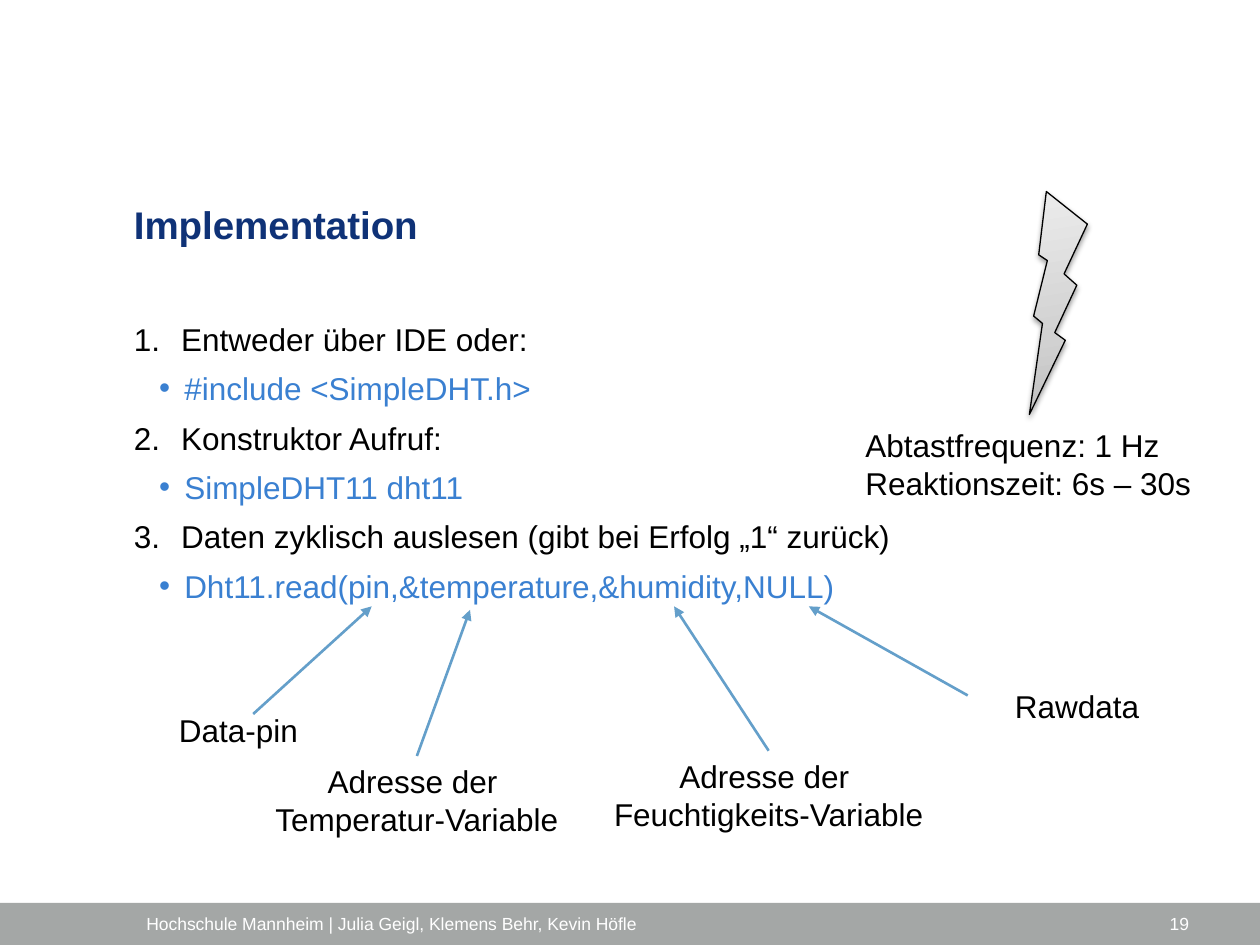
from dataclasses import dataclass

from lxml import etree
from pptx import Presentation
from pptx.dml.color import RGBColor
from pptx.enum.shapes import MSO_CONNECTOR, MSO_SHAPE
from pptx.enum.text import MSO_ANCHOR, MSO_AUTO_SIZE, PP_ALIGN
from pptx.oxml import parse_xml
from pptx.oxml.ns import qn
from pptx.util import Pt

LEFT, MID, RIGHT = PP_ALIGN.LEFT, PP_ALIGN.CENTER, PP_ALIGN.RIGHT
TOP, CENTRE = MSO_ANCHOR.TOP, MSO_ANCHOR.MIDDLE
FIXED = MSO_AUTO_SIZE.NONE
RECT, BOLT = MSO_SHAPE.RECTANGLE, MSO_SHAPE.LIGHTNING_BOLT
STRAIGHT = MSO_CONNECTOR.STRAIGHT
SPACE = 'xmlns:a="http://schemas.openxmlformats.org/drawingml/2006/main"'


@dataclass(frozen=True)
class Theme:
    font: str = "Arial"
    ink: str = "000000"
    navy: str = "0F3277"
    code: str = "3A80D1"
    arrow: str = "649FCA"
    bar: str = "A4A7A6"
    white: str = "FFFFFF"
    bolt: tuple = ((0, "BDBDBD"), (35, "D1D1D1"), (100, "EEEEEE"))
    head: int = 22
    text: int = 18
    small: int = 10


THEME = Theme()

STEPS = [
    ("Entweder über IDE oder:", "#include <SimpleDHT.h>"),
    ("Konstruktor Aufruf:", "SimpleDHT11 dht11"),
    ("Daten zyklisch auslesen (gibt bei Erfolg „1“ zurück)",
     "Dht11.read(pin,&temperature,&humidity,NULL)"),
]

LABELS = [
    ("Data-pin", (20, 402.5, 232.5, 29), (144.7, 408), (212.4, 346.5)),
    ("Adresse der \nTemperatur-Variable", (122, 432, 232.5, 51), None, (268.6, 348.5)),
    ("Adresse der \nFeuchtigkeits-Variable", (323, 429, 232.5, 51), None, (385.2, 346.5)),
    ("Rawdata", (567.5, 389, 96, 29), (553, 397.4), (462.2, 346.5)),
]


def color(code):
    return RGBColor.from_string(code)


def style(para, size, ink, bold=False):
    for run in para.runs:
        run.font.name = THEME.font
        run.font.size = Pt(size)
        run.font.bold = bold
        run.font.color.rgb = color(ink)


def place(shape, box):
    shape.left, shape.top, shape.width, shape.height = map(Pt, box)
    frame = shape.text_frame
    frame.auto_size = FIXED
    frame.vertical_anchor = TOP
    frame.margin_left = frame.margin_right = 0
    frame.margin_top = frame.margin_bottom = 0
    return frame


def add_title(slide, words, box):
    frame = place(slide.shapes.title, box)
    frame.text = words
    para = frame.paragraphs[0]
    para.alignment = LEFT
    para.line_spacing = 1.1
    style(para, THEME.head, THEME.navy, True)


def indent(para, left, hang, kind, **attrs):
    props = para._p.get_or_add_pPr()
    props.set("marL", str(Pt(left)))
    props.set("indent", str(-Pt(hang)))
    etree.SubElement(props, qn("a:" + kind), **attrs)


def add_steps(slide, box):
    frame = place(slide.placeholders[1], box)
    frame.text = "\n".join(line for step in STEPS for line in step)
    for i, para in enumerate(frame.paragraphs):
        para.level = i % 2
        para.line_spacing = 1.1
        para.space_before = Pt(0)
        para.space_after = Pt(4.5)
        if para.level:
            indent(para, 28.8, 14.4, "buChar", char="•")
            style(para, THEME.text, THEME.code)
        else:
            indent(para, 27, 27, "buAutoNum", type="arabicPeriod")
            style(para, THEME.text, THEME.ink)


def add_text(slide, words, box, size, ink, align=LEFT, anchor=TOP):
    shape = slide.shapes.add_textbox(*map(Pt, box))
    frame = shape.text_frame
    frame.word_wrap = True
    frame.vertical_anchor = anchor
    frame.text = words
    for para in frame.paragraphs:
        para.alignment = align
        style(para, size, ink)
    return shape


def add_arrow(slide, start, end, label):
    line = slide.shapes.add_connector(STRAIGHT, *map(Pt, start + end))
    if label is not None:
        line.begin_connect(label, 0)
    line.line.color.rgb = color(THEME.arrow)
    line.line.width = Pt(1.5)
    etree.SubElement(line.line._get_or_add_ln(), qn("a:tailEnd"), type="triangle")
    etree.SubElement(line._element.spPr, qn("a:effectLst"))


def add_label(slide, words, box, start, end):
    label = add_text(slide, words, box, THEME.text, THEME.ink, MID)
    left, top, width, _ = box
    joint = None if start else label
    add_arrow(slide, start or (left + width / 2, top), end, joint)


def add_bar(slide, box):
    bar = slide.shapes.add_shape(RECT, *map(Pt, box))
    bar.shadow.inherit = False
    bar.fill.solid()
    bar.fill.fore_color.rgb = color(THEME.bar)
    bar.line.fill.background()


def add_bolt(slide, box):
    bolt = slide.shapes.add_shape(BOLT, *map(Pt, box))
    bolt.rotation = 350.3
    bolt.line.color.rgb = color(THEME.ink)
    bolt.line.width = Pt(0.75)
    bolt.shadow.inherit = False
    props = bolt._element.spPr
    props.find(qn("a:xfrm")).set("flipH", "1")
    stops = "".join(
        f'<a:gs pos="{at * 1000}"><a:srgbClr val="{tint}"/></a:gs>'
        for at, tint in THEME.bolt)
    fill = parse_xml(
        f'<a:gradFill {SPACE} rotWithShape="1"><a:gsLst>{stops}</a:gsLst>'
        '<a:lin ang="16200000" scaled="0"/></a:gradFill>')
    props.find(qn("a:prstGeom")).addnext(fill)
    shade = parse_xml(
        f'<a:outerShdw {SPACE} blurRad="{Pt(3.1)}" dist="{Pt(1.6)}" '
        f'dir="5400000" rotWithShape="0"><a:srgbClr val="{THEME.ink}">'
        '<a:alpha val="38000"/></a:srgbClr></a:outerShdw>')
    props.find(qn("a:effectLst")).append(shade)


def main():
    deck = Presentation()
    deck.slide_width, deck.slide_height = Pt(720), Pt(540)
    slide = deck.slides.add_slide(deck.slide_layouts[1])
    add_bar(slide, (0, 516, 720, 24))
    add_text(slide, "19", (518.5, 515.5, 168, 24.5),
             THEME.small, THEME.white, RIGHT, CENTRE)
    add_text(slide, "Hochschule Mannheim | Julia Geigl, Klemens Behr, Kevin Höfle",
             (76.5, 515.5, 417, 24.5), THEME.small, THEME.white, LEFT, CENTRE)
    add_title(slide, "Implementation", (76.5, 112.5, 610, 67.5))
    add_steps(slide, (76.5, 180.5, 610, 191.5))
    add_bolt(slide, (577.5, 109.5, 51, 124))
    add_text(slide, "Abtastfrequenz: 1 Hz\nReaktionszeit: 6s – 30s",
             (487.5, 240, 246, 51), THEME.text, THEME.ink)
    for label in LABELS:
        add_label(slide, *label)
    deck.save("out.pptx")


if __name__ == "__main__":
    main()
